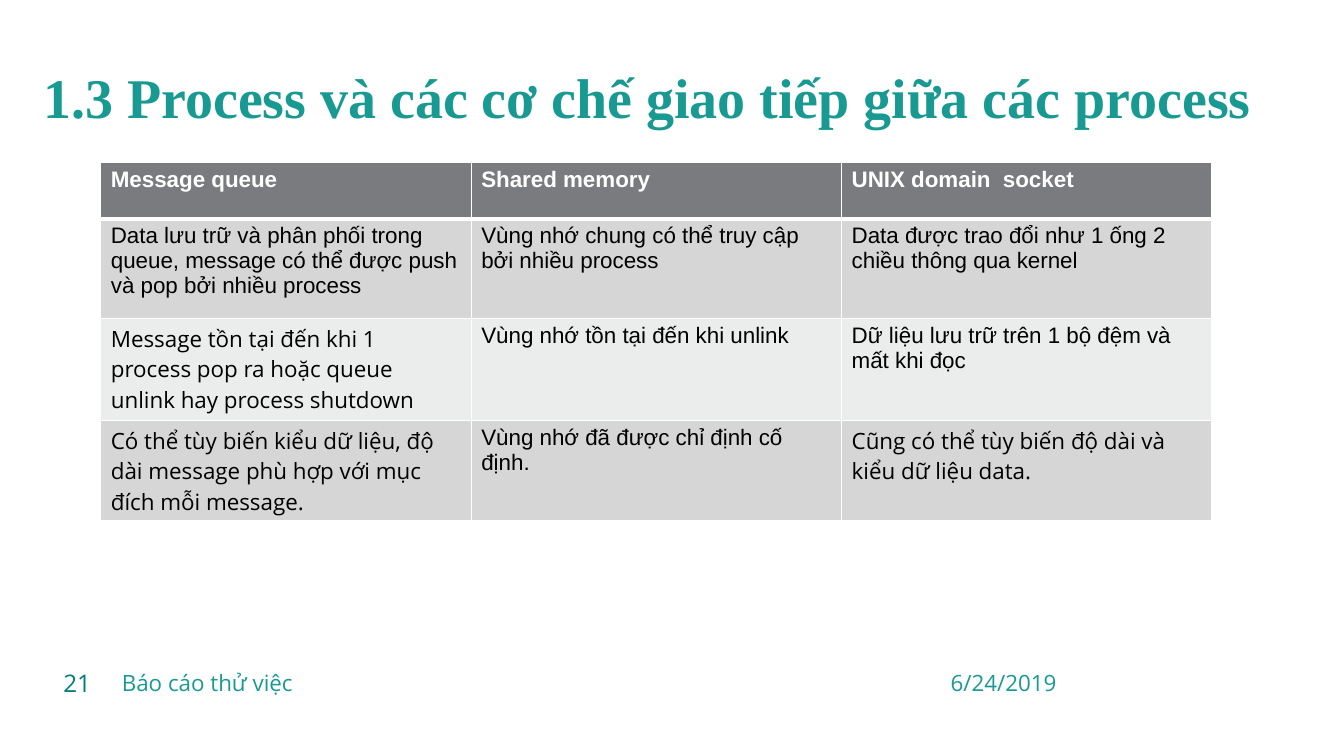
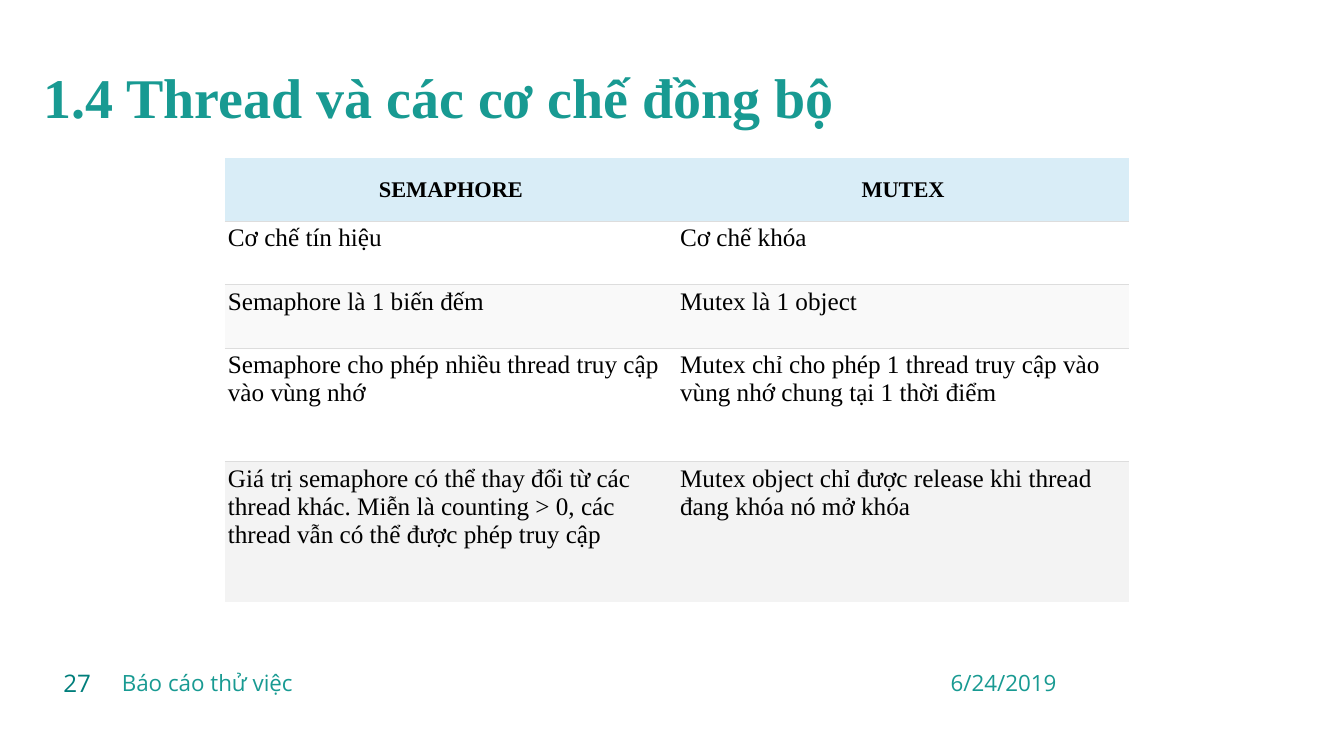
from lxml.etree import SubElement
from pptx import Presentation
from pptx.dml.color import RGBColor as RGB
from pptx.enum.text import MSO_ANCHOR as Anchor, PP_ALIGN as Align
from pptx.oxml.ns import qn
from pptx.util import Pt

TEAL = RGB(0x18, 0x9A, 0x92)
DEEP = RGB(0x00, 0x7E, 0x7B)
BLACK = RGB(0, 0, 0)
WHITE = RGB(0xFF, 0xFF, 0xFF)
SLATE = RGB(0x79, 0x7B, 0x7E)
SILVER = RGB(0xD6, 0xD6, 0xD7)
MIST = RGB(0xEB, 0xEC, 0xEC)
SKY = RGB(0xD9, 0xED, 0xF7)
SNOW = RGB(0xF9, 0xF9, 0xF9)
ASH = RGB(0xF3, 0xF3, 0xF3)
RULE = RGB(0xDD, 0xDD, 0xDD)
SERIF, SANS, OPEN = "Times New Roman", "Arial", "Open Sans"


def write(para, text, color, align=Align.LEFT, **font):
    """Put one formatted run in a paragraph."""
    para.alignment = align
    run = para.add_run()
    run.text = text
    run.font.color.rgb = color
    for key, value in font.items():
        setattr(run.font, key, value)


def label(slide, box, text, color, anchor=Anchor.MIDDLE, space=1.0, **style):
    """Add a wrapped text box."""
    frame = slide.shapes.add_textbox(*map(Pt, box)).text_frame
    frame.word_wrap = True
    frame.vertical_anchor = anchor
    para = frame.paragraphs[0]
    para.line_spacing = space
    write(para, text, color, **style)


def edge(cell, side, line):
    """Draw one cell border, or none when line is None."""
    props = cell._tc.get_or_add_tcPr()
    ln = SubElement(props, qn("a:ln" + side))
    if line is None:
        SubElement(ln, qn("a:noFill"))
        return
    color, width = line
    ln.set("w", str(Pt(width)))
    fill = SubElement(ln, qn("a:solidFill"))
    SubElement(fill, qn("a:srgbClr")).set("val", str(color))


def grid(slide, left, top, width, heights, rows, dress):
    """Add a table with equal columns, dressing each cell by its place."""
    count = len(rows[0])
    shape = slide.shapes.add_table(len(rows), count, Pt(left), Pt(top),
                                   Pt(width * count), Pt(sum(heights)))
    table = shape.table
    table.first_row = table.horz_banding = False
    for col in table.columns:
        col.width = Pt(width)
    for r, (height, texts) in enumerate(zip(heights, rows)):
        table.rows[r].height = Pt(height)
        for c, text in enumerate(texts):
            cell = table.cell(r, c)
            fill, edges, style, frame = dress(r, c)
            for key, value in frame.items():
                setattr(cell, key, value)
            for side, line in zip("LRTB", edges):
                edge(cell, side, line)
            cell.fill.solid()
            cell.fill.fore_color.rgb = fill
            write(cell.text_frame.paragraphs[0], text, **style)


def banded(r, c):
    """Give the look of a cell in the process table."""
    head = r == 0
    thin, thick = (WHITE, 1), (WHITE, 3)
    edges = (thin, thin, thick if r == 1 else thin, thick if head else thin)
    face = OPEN if (r, c) in ((2, 0), (3, 0), (3, 2)) else SANS
    style = dict(color=WHITE if head else BLACK, size=Pt(16), name=face, bold=head)
    return (SLATE, SILVER, MIST, SILVER)[r], edges, style, {}


def ruled(r, c):
    """Give the look of a cell in the thread table."""
    head = r == 0
    line = (RULE, 0.75)
    edges = (None, None, None if head else line, None if r == 4 else line)
    style = dict(color=BLACK, size=Pt(16 if head else 18), name=SERIF, bold=head,
                 align=Align.CENTER if head else Align.LEFT)
    frame = {"margin_" + s: Pt(2.2) for s in ("left", "right", "top", "bottom")}
    frame["vertical_anchor"] = Anchor.MIDDLE if head else Anchor.TOP
    return (SKY, WHITE, SNOW, WHITE, ASH)[r], edges, style, frame


def page(deck, title, number):
    """Add a slide with its title and footer."""
    slide = deck.slides.add_slide(deck.slide_layouts[6])
    label(slide, (24, 17.5, 924, 81), title, TEAL, Anchor.TOP, 1.5,
          size=Pt(40), name=SERIF, bold=True)
    foot = dict(size=Pt(16), name=OPEN)
    label(slide, (672, 473, 112, 29), "6/24/2019", TEAL, **foot)
    label(slide, (80, 473, 304, 29), "Báo cáo thử việc", TEAL, **foot)
    label(slide, (24, 473, 48, 29), number, DEEP, align=Align.RIGHT,
          size=Pt(17.3), name=OPEN)
    return slide


PROCESS = (
    ("Message queue", "Shared memory", "UNIX domain  socket"),
    ("Data lưu trữ và phân phối trong queue, message có thể được push và pop bởi nhiều process",
     "Vùng nhớ chung có thể truy cập bởi nhiều process",
     "Data được trao đổi như 1 ống 2 chiều thông qua kernel"),
    ("Message tồn tại đến khi 1 process pop ra hoặc queue unlink hay process shutdown",
     "Vùng nhớ tồn tại đến khi unlink",
     "Dữ liệu lưu trữ trên 1 bộ đệm và mất khi đọc"),
    ("Có thể tùy biến kiểu dữ liệu, độ dài message phù hợp với mục đích mỗi message.",
     "Vùng nhớ đã được chỉ định cố định.",
     "Cũng có thể tùy biến độ dài và kiểu dữ liệu data."),
)
THREAD = (
    ("SEMAPHORE", "MUTEX"),
    ("Cơ chế tín hiệu", "Cơ chế khóa"),
    ("Semaphore là 1 biến đếm", "Mutex là 1 object"),
    ("Semaphore cho phép nhiều thread truy cập vào vùng nhớ",
     "Mutex chỉ cho phép 1 thread truy cập vào vùng nhớ chung tại 1 thời điểm"),
    ("Giá trị semaphore có thể thay đổi từ các thread khác. Miễn là counting > 0, "
     "các thread vẫn có thể được phép truy cập",
     "Mutex object chỉ được release khi thread đang khóa nó mở khóa"),
)


def main():
    """Build and save the deck."""
    deck = Presentation()
    deck.slide_width, deck.slide_height = Pt(960), Pt(540)
    slide = page(deck, "1.3 Process và các cơ chế giao tiếp giữa các process", "21")
    grid(slide, 72, 116, 264.6, (40.3, 71.3, 72.8, 71.8), PROCESS, banded)
    slide = page(deck, "1.4 Thread và các cơ chế đồng bộ", "27")
    grid(slide, 160.6, 113, 323, (45.2, 45.2, 45.2, 81.4, 100), THREAD, ruled)
    deck.save("out.pptx")


if __name__ == "__main__":
    main()
